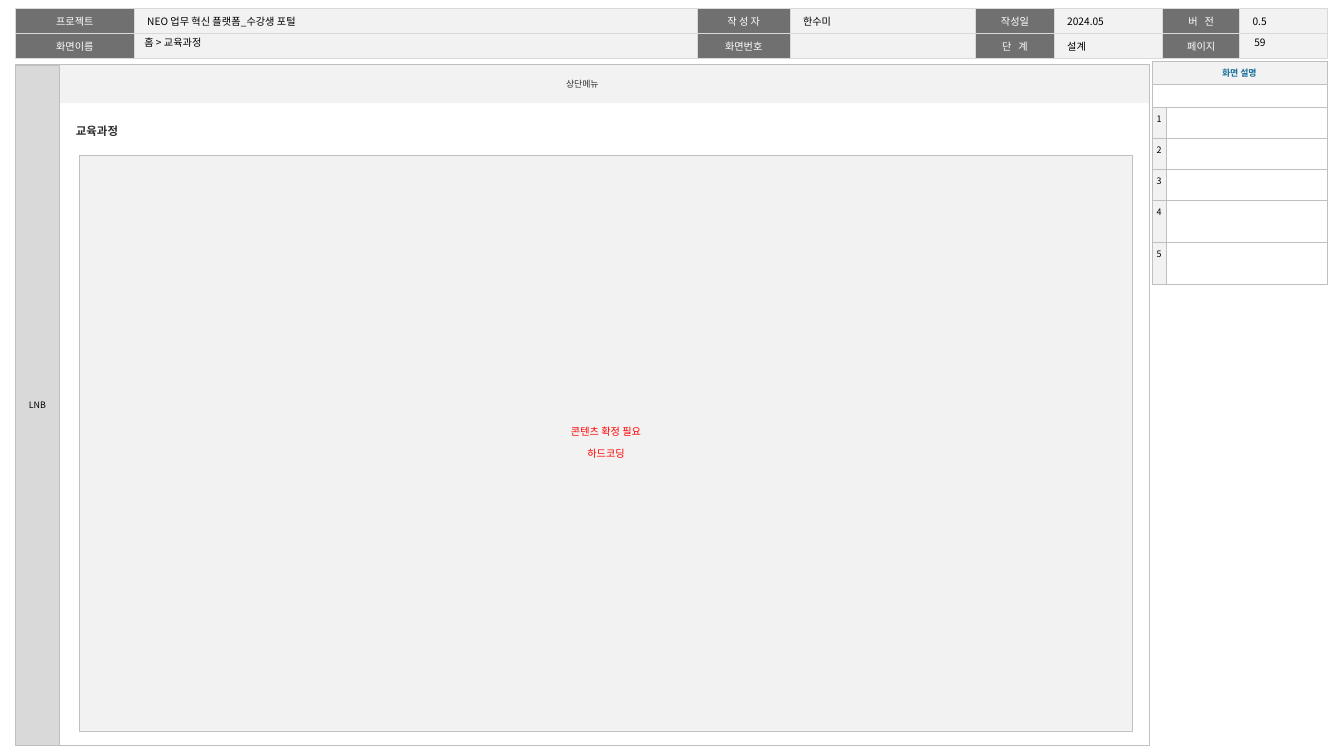
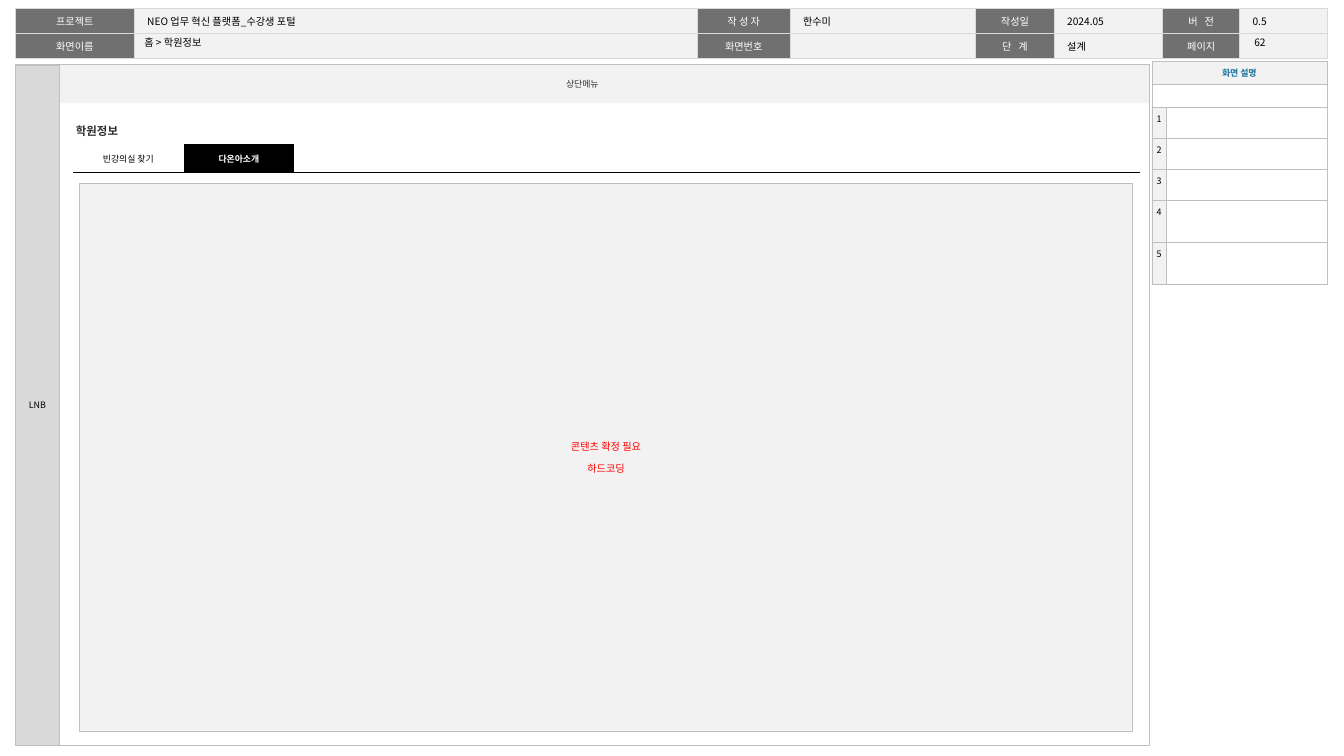
from dataclasses import dataclass, field

from lxml import etree
from pptx import Presentation
from pptx.dml.color import RGBColor
from pptx.enum import shapes, text
from pptx.oxml import ns
from pptx.util import Cm, Pt

BLACK = RGBColor(0x00, 0x00, 0x00)
WHITE = RGBColor(0xFF, 0xFF, 0xFF)
INK = RGBColor(0x2E, 0x2E, 0x2E)
LABEL_GRAY = RGBColor(0x70, 0x70, 0x70)
BORDER_GRAY = RGBColor(0xBF, 0xBF, 0xBF)
MENU_GRAY = RGBColor(0xD9, 0xD9, 0xD9)
PALE_GRAY = RGBColor(0xF2, 0xF2, 0xF2)
BLUE = RGBColor(0x17, 0x6F, 0x9B)
RED = RGBColor(0xFF, 0x00, 0x00)

LATIN = "Arial"
KOREAN = "Noto Sans CJK KR"
NO_TABLE_STYLE = "{2D5ABB26-0587-4C30-8999-92F81FD0307C}"

LEFT = text.PP_ALIGN.LEFT
CENTER = text.PP_ALIGN.CENTER
MIDDLE = text.MSO_ANCHOR.MIDDLE
TOP = text.MSO_ANCHOR.TOP

CANVAS_LEFT, CANVAS_TOP, CANVAS_WIDTH, CANVAS_HEIGHT = 0.43, 1.8, 31.5, 18.9
CONTENT_BOTTOM = 20.3


@dataclass
class TextStyle:
    size: float = 7
    color: RGBColor = BLACK
    name: str = KOREAN
    bold: bool = False
    align: int = CENTER
    tracking: float = 0
    paragraph: dict = field(default_factory=dict)


@dataclass
class TableCell:
    content: str = ""
    fill: RGBColor = WHITE
    style: TextStyle = field(default_factory=TextStyle)
    anchor: int = TOP
    margins: tuple = (0.1, 0.13)


def set_attributes(target, values):
    for name, value in values.items():
        setattr(target, name, value)


def margin_values(horizontal, vertical):
    return {"margin_left": Cm(horizontal), "margin_right": Cm(horizontal),
            "margin_top": Cm(vertical), "margin_bottom": Cm(vertical)}


class ScreenSheet:
    def __init__(self, presentation):
        self.presentation = presentation
        self.slide = None

    def start(self):
        layout = self.presentation.slide_layouts.get_by_name("Title Only")
        self.slide = self.presentation.slides.add_slide(layout)

    def fill_text(self, frame, lines, style):
        for index, line in enumerate(lines):
            paragraph = frame.paragraphs[0] if index == 0 else frame.add_paragraph()
            paragraph.alignment = style.align
            if index or len(lines) == 1:
                set_attributes(paragraph, style.paragraph)
            if not line:
                end = paragraph._p.get_or_add_endParaRPr()
                end.set("sz", str(int(style.size * 100)))
                continue
            run = paragraph.add_run()
            run.text = line
            set_attributes(run.font, {"size": Pt(style.size), "bold": style.bold,
                                      "name": style.name})
            run.font.color.rgb = style.color
            properties = run._r.get_or_add_rPr()
            east_asian = etree.Element(ns.qn("a:ea"), typeface=KOREAN)
            properties.find(ns.qn("a:latin")).addnext(east_asian)
            if style.tracking:
                properties.set("spc", str(int(style.tracking * 100)))

    def title(self, content, left, top, width, height):
        title = self.slide.shapes.title
        set_attributes(title, {"left": Cm(left), "top": Cm(top),
                               "width": Cm(width), "height": Cm(height)})
        set_attributes(title.text_frame, {
            "vertical_anchor": MIDDLE, "word_wrap": True,
            "auto_size": text.MSO_AUTO_SIZE.NONE, **margin_values(0.28, 0.13)})
        self.fill_text(title.text_frame, [content], TextStyle(8, align=LEFT))
        self.slide.shapes._spTree.append(title._element)  # above the header table

    def text_box(self, content, left, top, width, height, style, anchor, margins):
        box = self.slide.shapes.add_textbox(Cm(left), Cm(top), Cm(width), Cm(height))
        set_attributes(box.text_frame, {"word_wrap": True, "vertical_anchor": anchor,
                                        **margin_values(*margins)})
        self.fill_text(box.text_frame, [content], style)

    def rectangle(self, left, top, width, height, fill=None, line_width=0,
                  lines=(), style=None):
        shape = self.slide.shapes.add_shape(
            shapes.MSO_SHAPE.RECTANGLE, Cm(left), Cm(top), Cm(width), Cm(height))
        shape.shadow.inherit = False
        if fill is None:
            shape.fill.background()
        else:
            shape.fill.solid()
            shape.fill.fore_color.rgb = fill
        if line_width:
            shape.line.color.rgb = BORDER_GRAY
            shape.line.width = Pt(line_width)
        else:
            shape.line.fill.background()
        set_attributes(shape.text_frame, {"word_wrap": True, "vertical_anchor": MIDDLE,
                                          **margin_values(0, 0)})
        self.fill_text(shape.text_frame, lines, style)

    def table(self, left, top, widths, heights, rows, border, sides="LRTB"):
        """Draw rows of TableCell; border is (colour, points) on the given sides."""
        table = self.slide.shapes.add_table(
            len(heights), len(widths), Cm(left), Cm(top),
            Cm(sum(widths)), Cm(sum(heights))).table
        set_attributes(table, {"first_row": False, "horz_banding": False})
        table._tbl.tblPr.find(ns.qn("a:tableStyleId")).text = NO_TABLE_STYLE
        for column, width in zip(table.columns, widths):
            column.width = Cm(width)
        for row, height in zip(table.rows, heights):
            row.height = Cm(height)
        for row, items in zip(table.rows, rows):
            for cell, item in zip(row.cells, items):
                set_attributes(cell, {"vertical_anchor": item.anchor,
                                      **margin_values(*item.margins)})
                cell.fill.solid()
                cell.fill.fore_color.rgb = item.fill
                self.fill_text(cell.text_frame, [item.content], item.style)
                self.cell_border(cell, border, sides)
        return table

    def cell_border(self, cell, border, sides):
        color, width = border
        properties = cell._tc.get_or_add_tcPr()
        for index, side in enumerate(sides):
            line = etree.Element(ns.qn(f"a:ln{side}"), w=str(int(Pt(width))))
            fill = etree.SubElement(line, ns.qn("a:solidFill"))
            etree.SubElement(fill, ns.qn("a:srgbClr"), val=str(color))
            properties.insert(index, line)

    def header(self):
        def label(content, tracking=0):
            style = TextStyle(8, WHITE, tracking=tracking, paragraph={"line_spacing": 1.05})
            return TableCell(content, LABEL_GRAY, style, margins=(0.36, 0.13))

        def value(content=""):
            style = TextStyle(8, align=LEFT, paragraph={"line_spacing": 1.05})
            return TableCell(content, PALE_GRAY, style, margins=(0.36, 0.13))

        rows = [
            [label("프로젝트"), value("NEO 업무 혁신 플랫폼_수강생 포털"),
             label("작 성 자"), value("한수미"), label("작성일"), value("2024.05"),
             label("버 전", 1.8), value("0.5")],
            [label("화면이름"), value(), label("화면번호"), value(),
             label("단 계", 1.8), value("설계"), label("페이지"), value()],
        ]
        self.table(0.43, 0.23, [3.3, 15.65, 2.57, 5.16, 2.18, 3.02, 2.13, 2.43],
                   [0.61] * 2, rows, (MENU_GRAY, 1))

    def canvas(self):
        self.rectangle(CANVAS_LEFT, CANVAS_TOP, CANVAS_WIDTH, 1.07, PALE_GRAY,
                       lines=["상단메뉴"], style=TextStyle(7, INK, LATIN))
        menu = TableCell("LNB", MENU_GRAY, anchor=MIDDLE, margins=(0, 0.1))
        self.table(CANVAS_LEFT, CANVAS_TOP, [1.22], [CANVAS_HEIGHT], [[menu]],
                   (BORDER_GRAY, 0.25))
        self.rectangle(CANVAS_LEFT, CANVAS_TOP, CANVAS_WIDTH, CANVAS_HEIGHT,
                       line_width=0.75)

    def description(self):
        heading = TableCell("화면 설명", PALE_GRAY, TextStyle(7, BLUE, bold=True), MIDDLE)
        rows = [[heading, TableCell(fill=PALE_GRAY)], [TableCell(), TableCell()]]
        rows += [[TableCell(str(number), PALE_GRAY), TableCell()] for number in range(1, 6)]
        table = self.table(32, 1.7, [0.41, 4.45], [0.64] * 2 + [0.86] * 3 + [1.17] * 2,
                           rows, (BORDER_GRAY, 0.25))
        for row in range(2):
            table.cell(row, 0).merge(table.cell(row, 1))

    def tabs(self, names, selected):
        tabs = []
        for name in names:
            chosen = name == selected
            style = TextStyle(7, WHITE if chosen else BLACK, LATIN, chosen)
            tabs.append(TableCell(name, BLACK if chosen else WHITE, style, MIDDLE))
        widths = [3.07] * 9 + [2.01]
        tabs += [TableCell() for _ in widths[len(tabs):]]
        self.table(2.03, 4.01, widths, [0.79], [tabs], (BLACK, 1), sides="B")

    def screen(self, name, page, content_top):
        self.start()
        self.header()
        self.canvas()
        self.title(f"홈 > {name}", 3.73, 0.97, 15, 0.41)
        self.text_box(page, 34.6, 0.97, 1.83, 0.41, TextStyle(8, align=LEFT),
                      MIDDLE, (0.25, 0.13))
        self.description()
        self.text_box(name, 2.11, 3.12, 5.03, 0.76,
                      TextStyle(9, INK, LATIN, True, LEFT, paragraph={"line_spacing": 1.5}),
                      TOP, (0, 0.13))
        self.rectangle(2.21, content_top, 29.26, CONTENT_BOTTOM - content_top,
                       PALE_GRAY, 0.25, ["콘텐츠 확정 필요", "하드코딩"],
                       TextStyle(8, RED, LATIN, paragraph={"space_before": Pt(7.5)}))


def main():
    presentation = Presentation()
    set_attributes(presentation, {"slide_width": Cm(37.34), "slide_height": Cm(21)})
    sheet = ScreenSheet(presentation)
    sheet.screen("교육과정", "59", 4.3)
    sheet.screen("학원정보", "62", 5.1)
    sheet.tabs(["빈강의실 찾기", "다온아소개"], "다온아소개")
    presentation.save("out.pptx")


if __name__ == "__main__":
    main()
